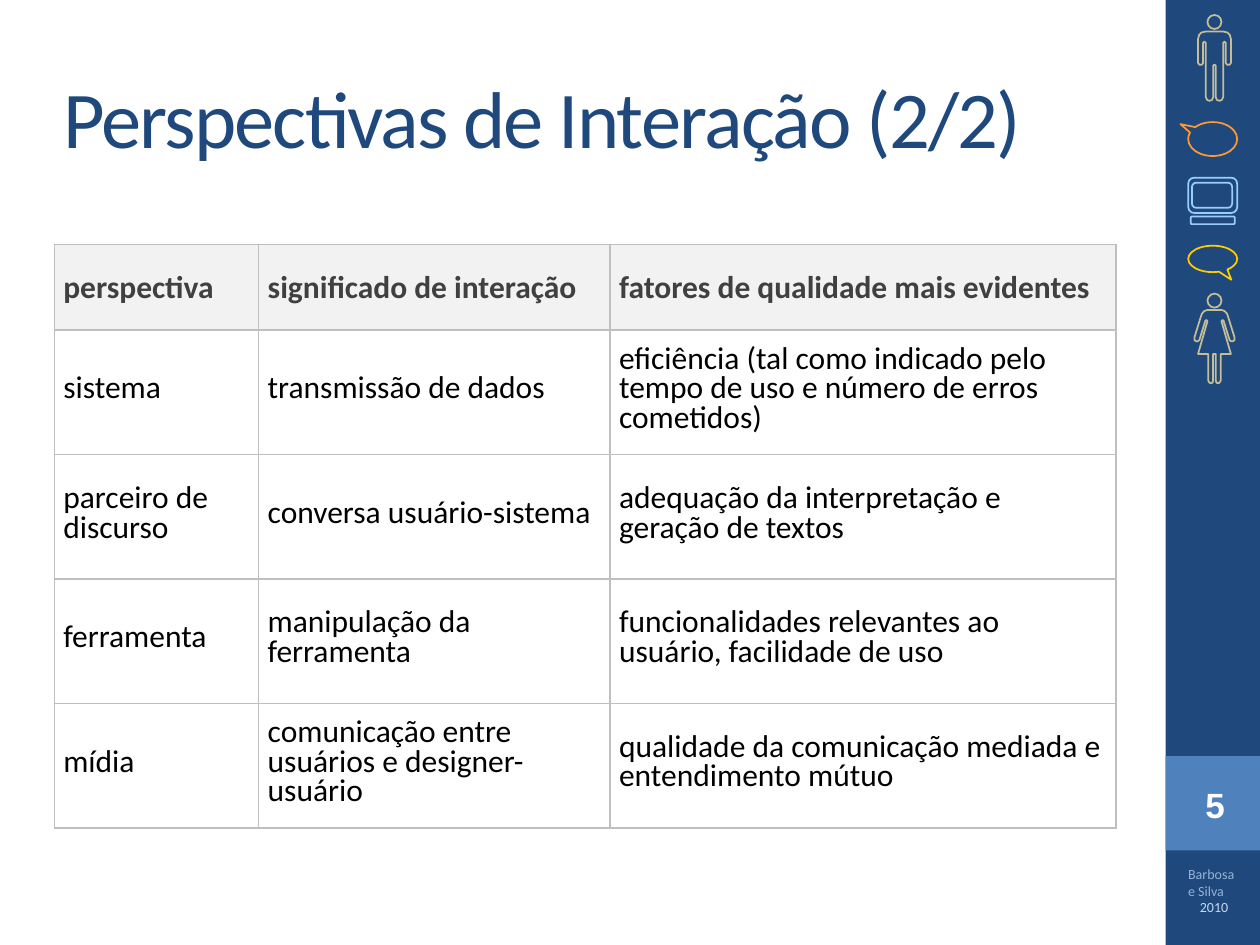
from lxml import etree
from pptx import Presentation
from pptx import util as u
from pptx.dml.color import RGBColor
from pptx.enum import shapes, text
from pptx.oxml import ns

Pt = u.Pt


def color(value):
    return RGBColor.from_string(value)


def style(shape, fill=None, line=None):
    shape.shadow.inherit = False
    if fill:
        shape.fill.solid()
        shape.fill.fore_color.rgb = color(fill)
    else:
        shape.fill.background()
    if line:
        shape.line.color.rgb = color(line)
        shape.line.width = Pt(1)
    else:
        shape.line.fill.background()


presentation = Presentation()
presentation.slide_width, presentation.slide_height = Pt(720), Pt(540)
slide = presentation.slides.add_slide(presentation.slide_layouts[5])
kinds = shapes.MSO_SHAPE

for top, height, fill in [(0, 540, "1F497D"), (432, 54, "4F81BD")]:
    panel = slide.shapes.add_shape(kinds.RECTANGLE, Pt(666), Pt(top), Pt(54), Pt(height))
    style(panel, fill=fill)

man_half = [
    (5, 18), (7.5, 18.6), (8.8, 20), (9.4, 22.3), (9.4, 36), (8.6, 37), (7.2, 37),
    (6.5, 36), (6.5, 24.5), (5.8, 23.8), (5, 24.5), (5, 55.4), (4.2, 57.1), (2.9, 57.6),
    (1.4, 57.1), (0.7, 55.4), (0.7, 37.4), (0, 37),
]
woman_half = [
    (4, 177.1), (5.8, 177.8), (7.2, 179.3), (7.9, 181.4), (11.5, 193), (11.4, 194.4),
    (10.5, 195.1), (9.4, 195), (8.6, 194.2), (5.2, 183.2), (4.6, 182.9), (4, 183.6),
    (9.4, 202.3), (3.6, 202.3), (3.6, 217.4), (2.9, 218.7), (2, 219), (1.1, 218.7),
    (0.8, 217.4), (0.8, 202.3),
]
figure_center = 694
for half, head_top in [(man_half, 8.6), (woman_half, 167.8)]:
    outline = half + [(-x, y) for x, y in reversed(half)]
    points = [(Pt(figure_center + x), Pt(y)) for x, y in outline]
    builder = slide.shapes.build_freeform(*points[0])
    builder.add_line_segments(points[1:], close=True)
    head = slide.shapes.add_shape(
        kinds.OVAL, Pt(figure_center - 4), Pt(head_top), Pt(8), Pt(8))
    for part in (builder.convert_to_shape(), head):
        style(part, line="C4BD97")

callout, rounded = kinds.OVAL_CALLOUT, kinds.ROUNDED_RECTANGLE
icons = [
    (callout, 679, 69.8, 28, 19.4, "FF9933", [-0.66, -0.44]),
    (rounded, 679, 101.5, 28, 20.2, "99CCFF", [0.17]),
    (rounded, 681.1, 104.4, 23, 14.4, "99CCFF", [0.17]),
    (rounded, 680.4, 123.8, 25.2, 4.3, "99CCFF", [0.17]),
    (callout, 679, 140.4, 28, 15.1, "FFCC00", [0.38, 0.79]),
]
for kind, left, top, width, height, line, adjustments in icons:
    icon = slide.shapes.add_shape(kind, Pt(left), Pt(top), Pt(width), Pt(height))
    for index, value in enumerate(adjustments):
        icon.adjustments[index] = value
    style(icon, line=line)

center, left_align = text.PP_ALIGN.CENTER, text.PP_ALIGN.LEFT
labels = [
    (670.3, 444.2, 48.2, 31, [("5", 20, "Arial", "FFFFFF", True, center, 0)]),
    (671.8, 491, 43.9, 39.6, [
        ("Barbosa e Silva", 8, "Calibri", "95B3D7", False, left_align, 1.6),
        ("2010", 8, "Calibri", "C6D9F1", False, center, 0),
    ]),
]
for left, top, width, height, lines in labels:
    frame = slide.shapes.add_textbox(Pt(left), Pt(top), Pt(width), Pt(height)).text_frame
    frame.word_wrap = True
    frame.text = "\n".join(line[0] for line in lines)
    for paragraph, line in zip(frame.paragraphs, lines):
        words, size, font, ink, bold, alignment, space = line
        paragraph.font.size, paragraph.font.name = Pt(size), font
        paragraph.font.color.rgb, paragraph.font.bold = color(ink), bold
        paragraph.alignment, paragraph.space_before = alignment, Pt(space)

title = slide.shapes.title
title.left, title.top, title.width, title.height = Pt(36), Pt(21.6), Pt(600), Pt(90)
frame = title.text_frame
frame.text = "Perspectivas de Interação (2/2)"
frame.margin_left = frame.margin_right = frame.margin_top = frame.margin_bottom = 0
frame.vertical_anchor = text.MSO_ANCHOR.MIDDLE
paragraph = frame.paragraphs[0]
paragraph.alignment = left_align
paragraph.font.size, paragraph.font.name = Pt(46), "Calibri"
paragraph.font.color.rgb = color("1F497D")
paragraph.runs[0].font._element.set("spc", "-100")

rows = [
    ("perspectiva", "significado de interação", "fatores de qualidade mais evidentes"),
    ("sistema", "transmissão de dados",
     "eficiência (tal como indicado pelo tempo de uso e número de erros cometidos)"),
    ("parceiro de discurso", "conversa usuário-sistema",
     "adequação da interpretação e geração de textos"),
    ("ferramenta", "manipulação da ferramenta",
     "funcionalidades relevantes ao usuário, facilidade de uso"),
    ("mídia", "comunicação entre usuários e designer-usuário",
     "qualidade da comunicação mediada e entendimento mútuo"),
]
table = slide.shapes.add_table(
    len(rows), 3, Pt(31), Pt(139.7), Pt(606.7), Pt(333.4)).table
for column, width in zip(table.columns, [116.8, 200.8, 289.1]):
    column.width = Pt(width)
for row_index, row in enumerate(rows):
    header = row_index == 0
    table.rows[row_index].height = Pt(49 if header else 71.1)
    for column_index, words in enumerate(row):
        cell = table.cell(row_index, column_index)
        cell.text = words
        cell.vertical_anchor = text.MSO_ANCHOR.MIDDLE
        cell.margin_left = cell.margin_right = Pt(5.2)
        cell.margin_top = cell.margin_bottom = Pt(3.6)
        paragraph = cell.text_frame.paragraphs[0]
        paragraph.font.size, paragraph.font.name = Pt(18), "Calibri"
        paragraph.font.bold = header
        paragraph.font.color.rgb = color("404040" if header else "000000")
        if not header:
            paragraph.line_spacing = Pt(17)
        properties = cell._tc.get_or_add_tcPr()
        for side in ("lnL", "lnR", "lnT", "lnB"):
            border = etree.SubElement(properties, ns.qn("a:" + side), w=str(Pt(0.96)))
            solid = etree.SubElement(border, ns.qn("a:solidFill"))
            etree.SubElement(solid, ns.qn("a:srgbClr"), val="BFBFBF")
        if header:
            cell.fill.solid()
            cell.fill.fore_color.rgb = color("F2F2F2")
        else:
            cell.fill.background()

presentation.save("out.pptx")
